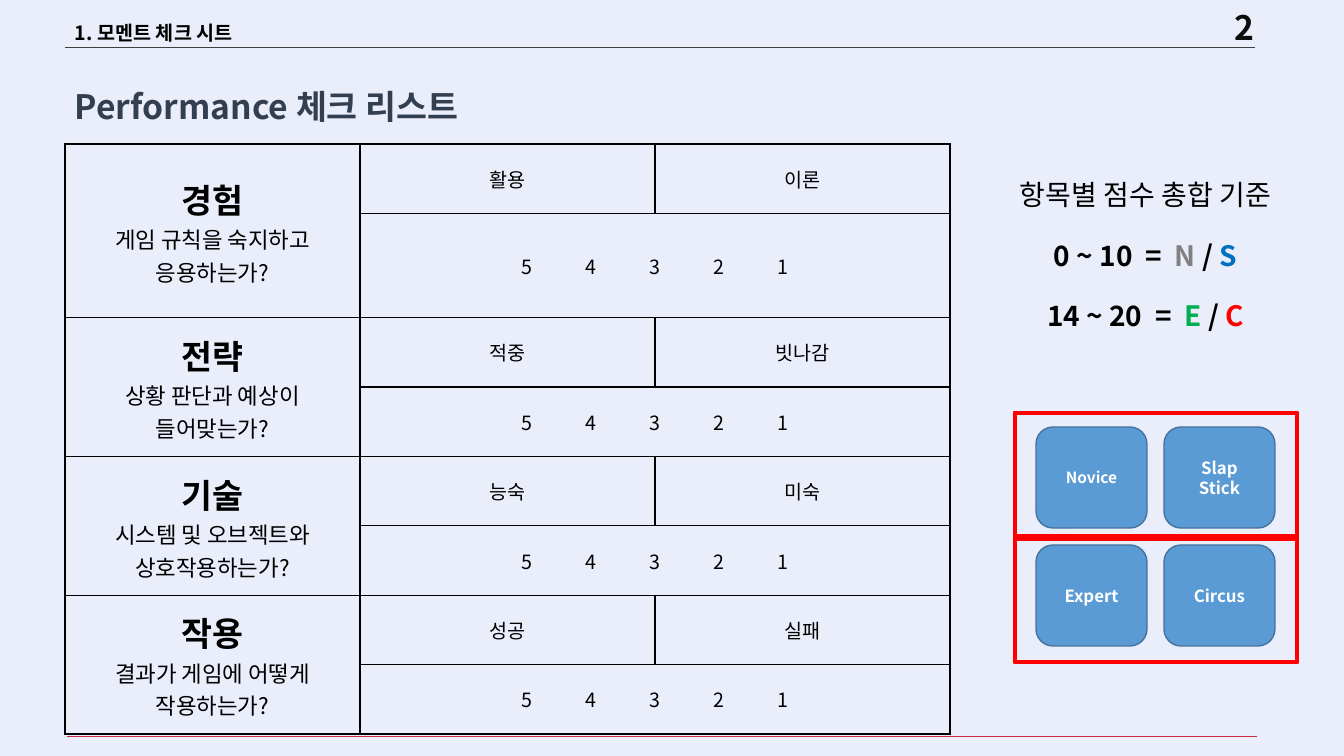
from lxml import etree
from pptx import Presentation
from pptx.dml.color import RGBColor
from pptx.enum.shapes import MSO_CONNECTOR, MSO_SHAPE
from pptx.enum.text import MSO_ANCHOR, MSO_AUTO_SIZE, PP_ALIGN
from pptx.oxml.ns import qn
from pptx.util import Pt

LEFT, CENTER = PP_ALIGN.LEFT, PP_ALIGN.CENTER
TOP, MIDDLE = MSO_ANCHOR.TOP, MSO_ANCHOR.MIDDLE
GROW = MSO_AUTO_SIZE.SHAPE_TO_FIT_TEXT
STRAIGHT = MSO_CONNECTOR.STRAIGHT
ROUNDED, FRAME = MSO_SHAPE.ROUNDED_RECTANGLE, MSO_SHAPE.FRAME
FONT = "Noto Sans CJK KR"
COLORS = {
    "background": "EAEEFA", "black": "000000", "number": "0D0D0D",
    "title": "333F50", "top_rule": "404040", "bottom_rule": "D02646",
    "gray": "808080", "blue": "0070C0", "green": "00B050", "red": "FF0000",
    "tile": "5B9BD5", "tile_line": "43739E", "white": "FFFFFF",
}
CHECKS = [
    ("경험\n게임 규칙을 숙지하고\n응용하는가?", "활용", "이론"),
    ("전략\n상황 판단과 예상이\n들어맞는가?", "적중", "빗나감"),
    ("기술\n시스템 및 오브젝트와\n상호작용하는가?", "능숙", "미숙"),
    ("작용\n결과가 게임에 어떻게\n작용하는가?", "성공", "실패"),
]
SCORES = "54321"
SCORE_STEP = 64
TOTALS = [
    [("항목별 점수 총합 기준", "black")],
    [("0 ~ 10  =  ", "black"), ("N ", "gray"), ("/ ", "black"), ("S", "blue")],
    [("14 ~ 20  =  ", "black"), ("E ", "green"), ("/ ", "black"), ("C", "red")],
]
TILES = [[("Novice", 11), ("Slap\nStick", 12)], [("Expert", 12), ("Circus", 12)]]


def px(length):
    return round(length * 914400 / 100.8)


def color(name):
    return RGBColor.from_string(COLORS[name])


def style_span(span, size, shade, bold):
    span.font.size = Pt(size)
    span.font.bold = bold
    span.font.name = FONT
    span.font.color.rgb = color(shade)
    etree.SubElement(span.font._element, qn("a:ea"), typeface=FONT)


def style_para(para, size, shade="black", bold=False, align=CENTER):
    para.alignment = align
    for span in para.runs:
        style_span(span, size, shade, bold)


def add_label(page, box, text, size, shade="black", align=LEFT, anchor=MIDDLE, spacing=1.5):
    frame = page.shapes.add_textbox(*map(px, box)).text_frame
    frame.word_wrap = True
    frame.auto_size = GROW
    frame.vertical_anchor = anchor
    frame.text = text
    for para in frame.paragraphs:
        para.line_spacing = spacing
        style_para(para, size, shade, True, align)
    return frame


def add_rule(page, left, top, width, shade):
    rule = page.shapes.add_connector(STRAIGHT, px(left), px(top), px(left + width), px(top))
    rule.line.color.rgb = color(shade)
    rule.line.width = Pt(0.5)
    etree.SubElement(rule._element.spPr, qn("a:effectLst"))


def add_header(page, box):
    left, top, width, height = box
    add_rule(page, left, top + height, width, "top_rule")
    add_label(page, (left, top, 319, height), "1. 모멘트 체크 시트", 14)
    add_label(page, (left + width - 92, top - 4, 162, 40), "2", 24, "number", CENTER, TOP, 1.0)


def style_cell(cell):
    cell.vertical_anchor = MIDDLE
    properties = cell._tc.get_or_add_tcPr()
    for side in ("a:lnL", "a:lnR", "a:lnT", "a:lnB"):
        border = etree.SubElement(properties, qn(side), w=str(Pt(1)))
        fill = etree.SubElement(border, qn("a:solidFill"))
        etree.SubElement(fill, qn("a:srgbClr"), val=COLORS["black"])
    cell.fill.background()


def fill_scores(cell, width):
    cell.margin_left = cell.margin_right = 0
    para = cell.text_frame.paragraphs[0]
    para.text = "".join("\t" + score for score in SCORES)
    style_para(para, 14, align=LEFT)
    stops = etree.SubElement(para._p.get_or_add_pPr(), qn("a:tabLst"))
    for index in range(len(SCORES)):
        position = width / 2 + (index - (len(SCORES) - 1) / 2) * SCORE_STEP
        etree.SubElement(stops, qn("a:tab"), pos=str(px(position)), algn="ctr")


def add_checklist(page, box):
    left, top, width, height = box
    table = page.shapes.add_table(2 * len(CHECKS), 3, *map(px, box)).table
    table.first_row = table.horz_banding = False
    for column in table.columns:
        column.width = px(width / 3)
    for index, row in enumerate(table.rows):
        row.height = px(104 if index == 1 else (height - 104) / 7)
    for cell in table.iter_cells():
        style_cell(cell)
    for index, (question, good, bad) in enumerate(CHECKS):
        upper, lower = 2 * index, 2 * index + 1
        heading = table.cell(upper, 0)
        heading.merge(table.cell(lower, 0))
        heading.text_frame.text = question
        for line, para in enumerate(heading.text_frame.paragraphs):
            style_para(para, 16 if line else 24, bold=line == 0)
        for column, word in enumerate((good, bad), 1):
            cell = table.cell(upper, column)
            cell.text_frame.text = word
            style_para(cell.text_frame.paragraphs[0], 14)
        scores = table.cell(lower, 1)
        scores.merge(table.cell(lower, 2))
        fill_scores(scores, width * 2 / 3)


def add_totals(page, box):
    frame = add_label(page, box, "\n".join("" for line in TOTALS), 20,
                      anchor=TOP, spacing=1.0)
    for index, (para, line) in enumerate(zip(frame.paragraphs, TOTALS)):
        para.alignment = CENTER
        para.space_before = Pt(19 if index else 0)
        for text, shade in line:
            span = para.add_run()
            span.text = text
            style_span(span, 20, shade, index > 0)


def add_block(page, kind, box, fill, line):
    block = page.shapes.add_shape(kind, *map(px, box))
    block.shadow.inherit = False
    block.fill.solid()
    block.fill.fore_color.rgb = color(fill)
    block.line.color.rgb = color(line)
    block.line.width = Pt(1)
    return block


def add_grades(page, box):
    left, top, width, height = box
    for row, tiles in enumerate(TILES):
        for column, (grade, size) in enumerate(tiles):
            place = (left + 22 + 128 * column, top + 15 + 118 * row, 111, 101)
            tile = add_block(page, ROUNDED, place, "tile", "tile_line")
            tile.text_frame.vertical_anchor = MIDDLE
            tile.text_frame.text = grade
            for para in tile.text_frame.paragraphs:
                style_para(para, size, "white", True)
    for row in range(len(TILES)):
        place = (left, top + 123 * row, width, height - 123)
        outline = add_block(page, FRAME, place, "red", "red")
        outline.adjustments[0] = 0.016


def build_slide(deck):
    page = deck.slides.add_slide(deck.slide_layouts[6])
    page.background.fill.solid()
    page.background.fill.fore_color.rgb = color("background")
    add_rule(page, 67, 736, 1190, "bottom_rule")
    add_header(page, (65, 6, 1190, 41))
    add_label(page, (65, 60, 432, 72), "Performance 체크 리스트", 24, "title")
    add_checklist(page, (65, 144, 885, 590))
    add_totals(page, (994, 173, 303, 179))
    add_grades(page, (1014, 412, 284, 251))


deck = Presentation()
deck.slide_width, deck.slide_height = px(1344), px(756)
build_slide(deck)
deck.save("out.pptx")
